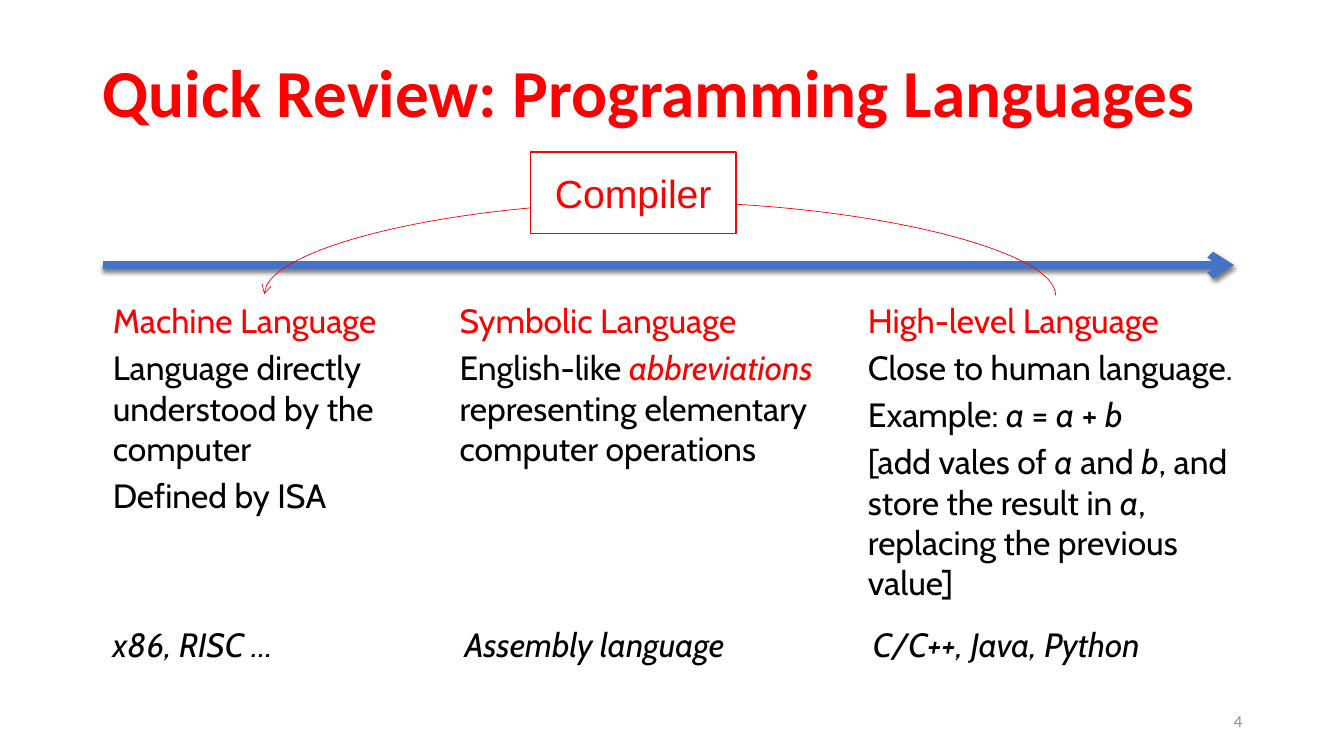
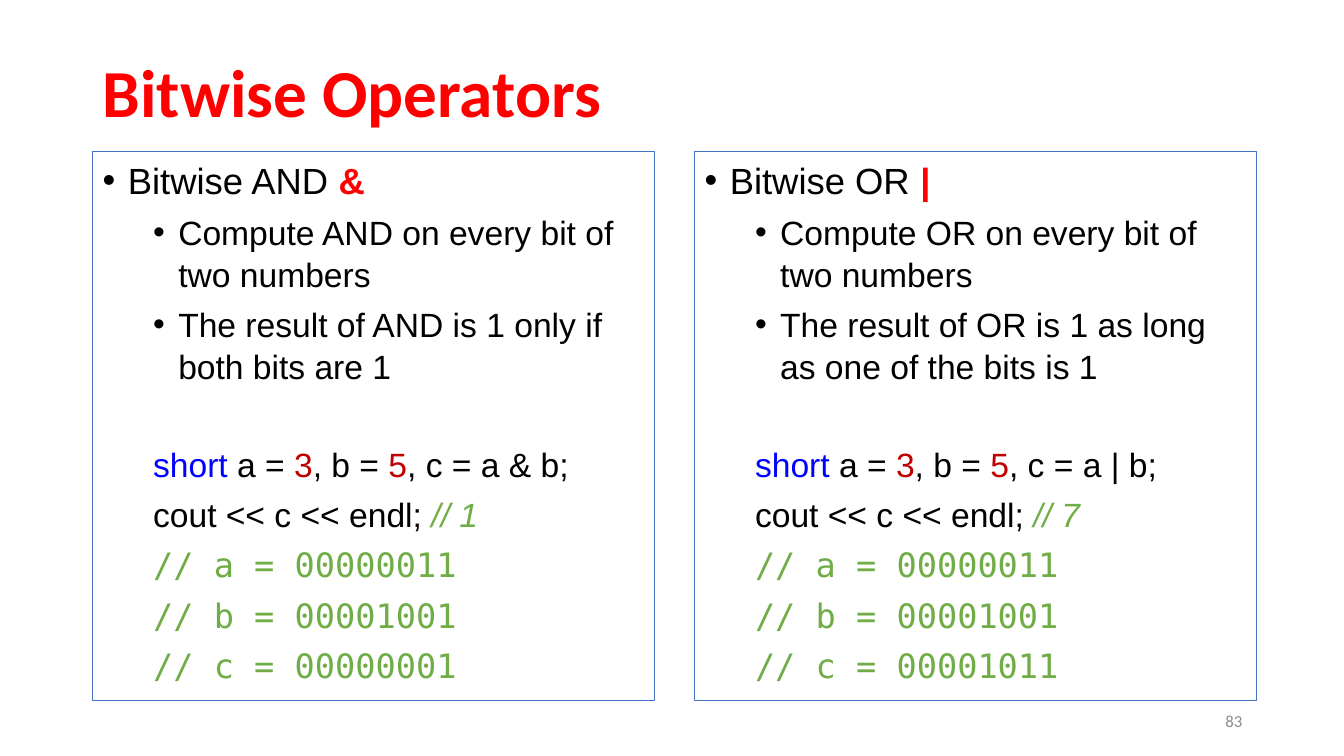
from lxml import etree
from pptx import Presentation
from pptx.dml.color import RGBColor
from pptx.enum.shapes import MSO_CONNECTOR, MSO_SHAPE
from pptx.enum.text import MSO_ANCHOR, PP_ALIGN
from pptx.oxml.ns import qn
from pptx.util import Inches, Pt

LEFT, CENTER, RIGHT = PP_ALIGN.LEFT, PP_ALIGN.CENTER, PP_ALIGN.RIGHT
TOP, MIDDLE = MSO_ANCHOR.TOP, MSO_ANCHOR.MIDDLE
RECT = MSO_SHAPE.RECTANGLE
STRAIGHT, CURVE = MSO_CONNECTOR.STRAIGHT, MSO_CONNECTOR.CURVE


class Theme:
    red, blue, black, white = "FF0000", "4472C4", "000000", "FFFFFF"
    # Base text styles
    title = dict(name="Calibri", size=48, color=red, bold=True)
    number = dict(name="Calibri", size=12, color="8C8C8C")
    box = dict(name="Arial", size=28, color=red)
    column = dict(name="Cabin", size=24, color=black)
    head = dict(name="Arial", size=26, color=black)
    point = dict(name="Arial", size=24, color=black)
    # Changes for single runs
    marks = {
        "red": dict(color=red),
        "italic": dict(italic=True),
        "red italic": dict(color=red, italic=True),
        "operator": dict(color=red, bold=True),
        "keyword": dict(color="0000FF"),
        "value": dict(color="C00000"),
        "comment": dict(color="70AD47", italic=True),
        "bits": dict(color="70AD47", name="DejaVu Sans Mono"),
    }


# A paragraph is a list of runs; a run is plain text or (text, mark).
A, B = ("a", "italic"), ("b", "italic")
LANGUAGES = [
    dict(left=1.02, width=3.18, paragraphs=[
        [("Machine Language", "red")],
        ["Language directly understood by the computer"],
        ["Defined by ISA"]],
        example="x86, RISC …", example_left=1.02),
    dict(left=4.46, width=3.91, paragraphs=[
        [("Symbolic Language", "red")],
        ["English-like ", ("abbreviations", "red italic"),
         " representing elementary computer operations"]],
        example="Assembly language", example_left=4.51),
    dict(left=8.51, width=3.91, paragraphs=[
        [("High-level Language", "red")],
        ["Close to human language."],
        ["Example: ", A, " = ", A, " + ", B],
        ["[add vales of ", A, " and ", B, ", and store the result in ", A,
         ", replacing the previous value]"]],
        example="C/C++, Java, Python", example_left=8.56),
]

# Operator name, symbol, rule, decimal result, binary result
OPERATORS = [
    ("AND", "&", "only if both bits are 1", "1", "00000001"),
    ("OR", "|", "as long as one of the bits is 1", "7", "00001011"),
]
OPERANDS = [("a", "00000011"), ("b", "00001001")]

# Paragraph formats: base style, level, left margin, indent, space before
HEAD = dict(style=Theme.head, margin=0.25, indent=-0.25, before=18)
POINT = dict(style=Theme.point, level=1, margin=0.75, indent=-0.25, before=6)
CODE = dict(style=Theme.point, level=1, margin=0.5, indent=0, before=6)
CODE_START = {**CODE, "before": 40}


def rgb(value):
    return RGBColor.from_string(value)


def add_runs(p, runs, style):
    for run in runs:
        text, mark = (run, None) if isinstance(run, str) else run
        r = p.add_run()
        r.text = text
        values = {**style, **Theme.marks.get(mark, {})}
        for key, value in values.items():
            if key == "color":
                r.font.color.rgb = rgb(value)
            else:
                setattr(r.font, key, Pt(value) if key == "size" else value)


def next_paragraph(tf, index):
    return tf.add_paragraph() if index else tf.paragraphs[0]


def add_text(slide, box, paragraphs, style, anchor=TOP, **paragraph_format):
    sp = slide.shapes.add_textbox(*map(Inches, box))
    tf = sp.text_frame
    tf.word_wrap, tf.vertical_anchor = True, anchor
    for i, runs in enumerate(paragraphs):
        p = next_paragraph(tf, i)
        for key, value in paragraph_format.items():
            setattr(p, key, value)
        add_runs(p, runs, style)


def add_rect(slide, box, line, width, fill=None):
    sp = slide.shapes.add_shape(RECT, *map(Inches, box))
    sp.shadow.inherit = False
    if fill:
        sp.fill.solid()
        sp.fill.fore_color.rgb = rgb(fill)
    else:
        sp.fill.background()
    sp.line.color.rgb, sp.line.width = rgb(line), Pt(width)
    sp.text_frame.word_wrap = True
    return sp


def add_arrow(slide, kind, ends, color, width):
    """Return the connector and its empty effect list."""
    c = slide.shapes.add_connector(kind, *map(Inches, ends))
    c.line.color.rgb, c.line.width = rgb(color), Pt(width)
    sp_pr = c._element.spPr
    etree.SubElement(sp_pr.find(qn("a:ln")), qn("a:tailEnd"), type="arrow")
    return c, etree.SubElement(sp_pr, qn("a:effectLst"))


def add_shadow(effects):
    shadow = etree.SubElement(
        effects, qn("a:outerShdw"), blurRad=str(Pt(3)), dist=str(Pt(2.1)),
        dir="5400000", rotWithShape="0")
    color = etree.SubElement(shadow, qn("a:srgbClr"), val=Theme.black)
    etree.SubElement(color, qn("a:alpha"), val="50000")


def bend(connector, reach):
    """Turn a narrow upright curve on its side, bulging by reach widths."""
    sp_pr = connector._element.spPr
    xfrm = sp_pr.find(qn("a:xfrm"))
    xfrm.set("rot", "16200000")
    xfrm.set("flipV", "1")
    guides = sp_pr.find(qn("a:prstGeom")).get_or_add_avLst()
    etree.SubElement(guides, qn("a:gd"), name="adj1",
                     fmla=f"val {reach * 100000}")


def add_slide(prs, title, number):
    slide = prs.slides.add_slide(prs.slide_layouts[6])
    add_text(slide, (0.92, 0.4, 11.5, 1.1), [[title]], Theme.title, MIDDLE,
             line_spacing=0.9)
    add_text(slide, (9.42, 6.95, 3, 0.4), [[number]], Theme.number, MIDDLE,
             alignment=RIGHT)
    return slide


def languages_slide(prs):
    slide = add_slide(prs, "Quick Review: Programming Languages", "4")
    _, effects = add_arrow(slide, STRAIGHT, (1.02, 2.63, 12.24, 2.63),
                           Theme.blue, 5.5)
    add_shadow(effects)
    for lang in LANGUAGES:
        add_text(slide, (lang["left"], 2.93, lang["width"], 2.4),
                 lang["paragraphs"], Theme.column, space_before=Pt(4.8))
        add_text(slide, (lang["example_left"], 6.14, 3.04, 0.49),
                 [[(lang["example"], "italic")]], Theme.column,
                 space_before=Pt(4.8))
    curve, _ = add_arrow(slide, CURVE, (6.54, -1, 6.55, 6.85), Theme.red, 0.5)
    bend(curve, 94)
    sp = add_rect(slide, (5.26, 1.51, 2.04, 0.81), Theme.red, 1, Theme.white)
    p = sp.text_frame.paragraphs[0]
    p.alignment = CENTER
    add_runs(p, ["Compiler"], Theme.box)


def operator_lines(name, symbol, rule, result, bits):
    """Return (paragraph format, runs) pairs for one panel."""
    return [
        (HEAD, [f"Bitwise {name} ", (symbol, "operator")]),
        (POINT, [f"Compute {name} on every bit of two numbers"]),
        (POINT, [f"The result of {name} is 1 {rule}"]),
        (CODE_START, [("short", "keyword"), " a = ", ("3", "value"), ", b = ",
                      ("5", "value"), f", c = a {symbol} b;"]),
        (CODE, ["cout << c << endl; ", (f"// {result}", "comment")]),
        *[(CODE, [(f"// {var} = {value}", "bits")])
          for var, value in OPERANDS + [("c", bits)]],
    ]


def operators_slide(prs):
    slide = add_slide(prs, "Bitwise Operators", "83")
    left, width, gap = 0.92, 5.57, 0.4
    for i, operator in enumerate(OPERATORS):
        box = (left + i * (width + gap), 1.5, width, 5.45)
        tf = add_rect(slide, box, Theme.blue, 0.75).text_frame
        tf.vertical_anchor = TOP
        for j, (fmt, runs) in enumerate(operator_lines(*operator)):
            p = next_paragraph(tf, j)
            p.alignment, p.level = LEFT, fmt.get("level", 0)
            p.line_spacing, p.space_before = 1.04, Pt(fmt["before"])
            p_pr = p._p.get_or_add_pPr()
            p_pr.set("marL", str(Inches(fmt["margin"])))
            p_pr.set("indent", str(Inches(fmt["indent"])))
            if fmt["indent"]:
                etree.SubElement(p_pr, qn("a:buFont"), typeface="Arial")
                etree.SubElement(p_pr, qn("a:buChar"), char="•")
            add_runs(p, runs, fmt["style"])


def main():
    prs = Presentation()
    prs.slide_width, prs.slide_height = Inches(13.33), Inches(7.5)
    languages_slide(prs)
    operators_slide(prs)
    prs.save("out.pptx")


if __name__ == "__main__":
    main()
